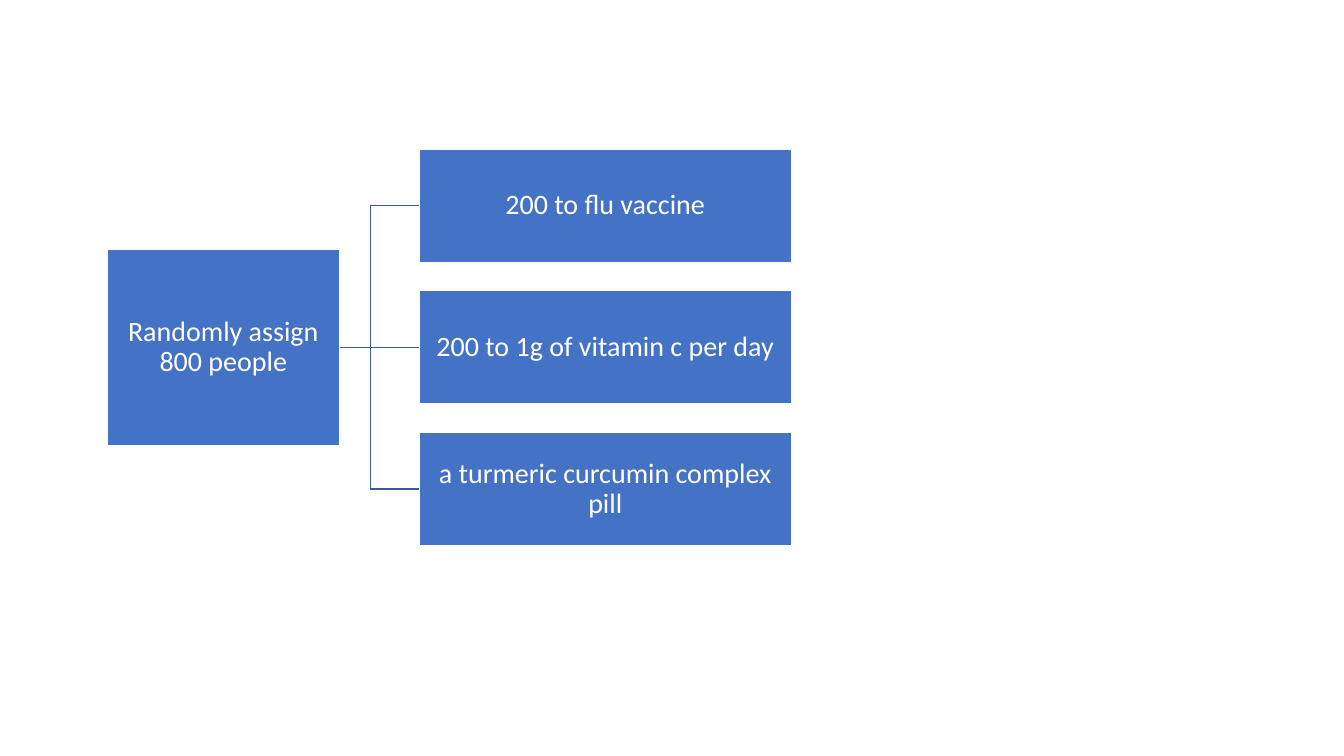
from dataclasses import dataclass

from lxml import etree
from pptx import Presentation
from pptx import util as u
from pptx.dml.color import RGBColor
from pptx.enum import shapes, text
from pptx.oxml import ns
from pptx.slide import Slide

Pt = u.Pt
HUES = {"box": "4472C4", "edge": "FFFFFF", "text": "FFFFFF", "link": "365B9D"}
FONT = {"name": "Calibri", "size": Pt(20)}
PARA = {"alignment": text.PP_ALIGN.CENTER, "line_spacing": 0.9}
INSET = Pt(0.9)
FRAME = {
    "word_wrap": True,
    "vertical_anchor": text.MSO_ANCHOR.MIDDLE,
    "margin_left": INSET,
    "margin_right": INSET,
    "margin_top": INSET,
    "margin_bottom": INSET,
}


@dataclass
class Box:
    label: str
    left: float
    mid: float
    width: float
    height: float


def hue(name: str) -> RGBColor:
    return RGBColor.from_string(HUES[name])


def style(item: object, form: dict) -> None:
    for key, value in form.items():
        setattr(item, key, value)


def draw_box(slide: Slide, box: Box) -> None:
    top = box.mid - box.height / 2
    shape = slide.shapes.add_shape(
        shapes.MSO_SHAPE.RECTANGLE,
        Pt(box.left), Pt(top), Pt(box.width), Pt(box.height),
    )
    shape.shadow.inherit = False
    shape.fill.solid()
    shape.fill.fore_color.rgb = hue("box")
    shape.line.color.rgb = hue("edge")
    shape.line.width = Pt(1)
    frame = shape.text_frame
    style(frame, FRAME)
    para = frame.paragraphs[0]
    style(para, PARA)
    run = para.add_run()
    run.text = box.label
    style(run.font, FONT)
    run.font.color.rgb = hue("text")


def draw_link(slide: Slide, start: float, root: Box, arm: Box) -> None:
    kind = shapes.MSO_CONNECTOR
    link = slide.shapes.add_connector(
        kind.STRAIGHT if arm.mid == root.mid else kind.ELBOW,
        Pt(start), Pt(root.mid), Pt(arm.left), Pt(arm.mid),
    )
    link.line.color.rgb = hue("link")
    link.line.width = Pt(1)
    props = link.element.find(ns.qn("p:spPr"))
    etree.SubElement(props, ns.qn("a:effectLst"))


# Slide
deck = Presentation()
deck.slide_width, deck.slide_height = Pt(960), Pt(540)
slide = deck.slides.add_slide(deck.slide_layouts[6])

# Study group and its three arms
MID, PITCH = 248.2, 101.2
root = Box("Randomly assign 800 people", 76.4, MID, 166.3, 140.4)
labels = (
    "200 to flu vaccine",
    "200 to 1g of vitamin c per day",
    "a turmeric curcumin complex pill",
)
arms = [
    Box(label, 299.5, MID + (i - 1) * PITCH, 265.7, 81)
    for i, label in enumerate(labels)
]

# Links start behind the root box, so they are drawn first
START = 229.7
for arm in arms:
    draw_link(slide, START, root, arm)
for box in (root, *arms):
    draw_box(slide, box)

deck.save("out.pptx")
